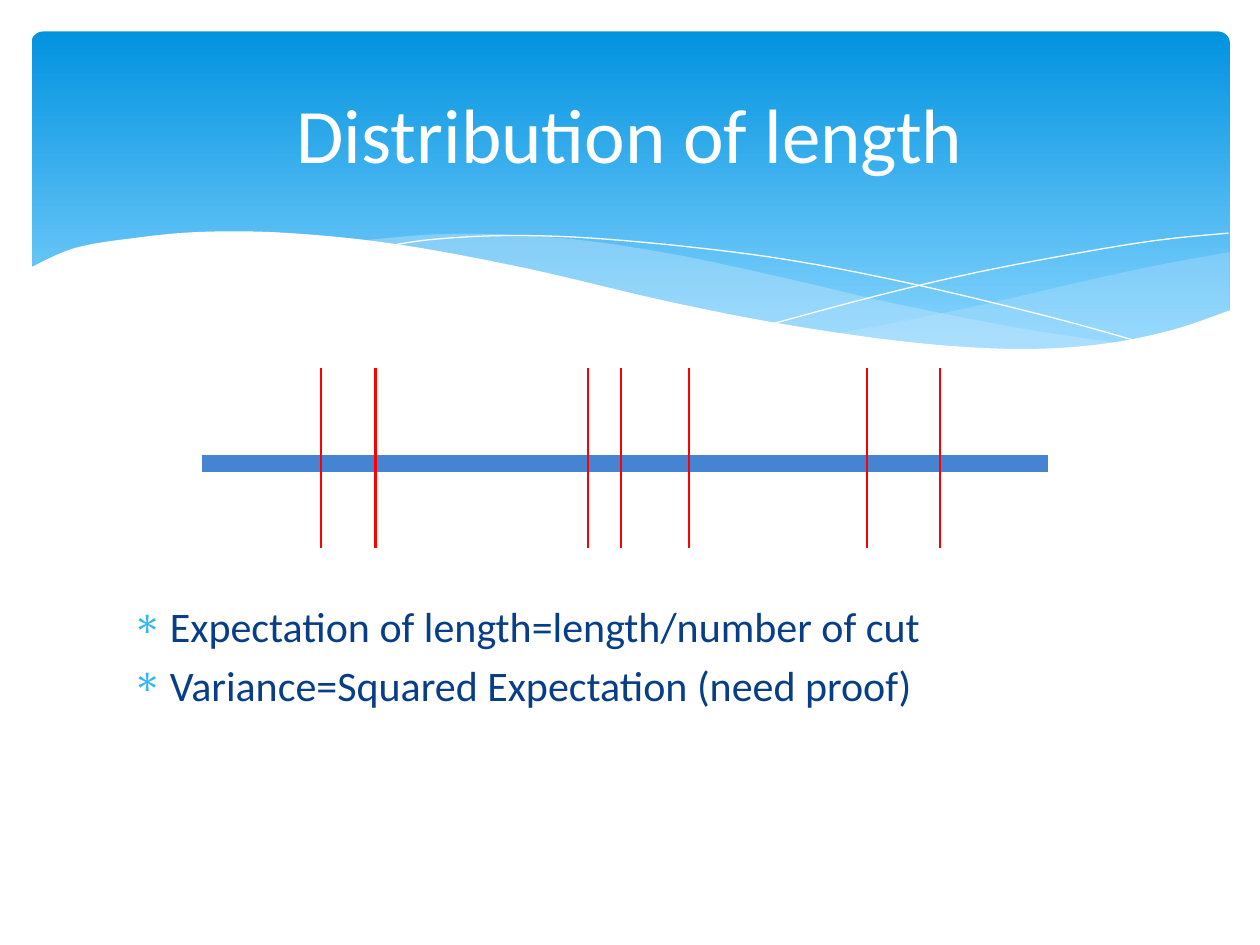
from lxml.etree import SubElement
from pptx import Presentation
from pptx.dml.color import RGBColor
from pptx.enum.shapes import MSO_CONNECTOR, MSO_SHAPE
from pptx.enum.text import MSO_ANCHOR, PP_ALIGN
from pptx.oxml.ns import qn
from pptx.util import Inches, Pt

COLUMNS, ROWS = 10, 7.5  # grid of one-inch cells
FONT = "Calibri"

# Wave knots, in grid cells from the banner's top left corner
RIGHT_WAVE = [
    [(9.51, 1.75), (8.96, 1.85), (8.36, 1.98), (7.54, 2.17), (6.81, 2.32), (6.36, 2.4)],
    [(6.36, 2.4), (7.07, 2.49), (7.78, 2.53), (8.38, 2.5), (8.96, 2.4), (9.51, 2.22)],
]
MIDDLE_WAVE = [
    [(8.68, 2.48), (7.82, 2.35), (6.81, 2.15), (6.04, 1.97), (5.16, 1.78),
     (4.4, 1.66), (3.74, 1.61), (3.19, 1.61), (2.61, 1.66)],
    [(2.61, 1.66), (3.37, 1.78), (4.24, 1.97), (5.41, 2.23), (6.25, 2.39),
     (6.97, 2.49), (7.71, 2.53), (8.32, 2.52), (8.68, 2.48)],
]
FALLING_LINE = [(2.84, 1.7), (3.19, 1.65), (3.76, 1.62), (4.44, 1.64), (5.31, 1.72),
                (6.11, 1.83), (7.02, 2.01), (8.06, 2.26), (8.82, 2.47)]
RISING_LINE = [(5.88, 2.32), (6.7, 2.1), (7.51, 1.91), (8.41, 1.74), (8.99, 1.65), (9.5, 1.6)]
WHITE_WAVE = [
    [(-0.02, 1.88), (0.34, 1.72), (0.81, 1.64), (1.36, 1.59), (2.05, 1.6),
     (2.91, 1.69), (3.93, 1.88), (5.04, 2.14), (6.01, 2.33), (7.01, 2.47),
     (7.84, 2.52), (8.5, 2.48), (9.05, 2.37), (9.52, 2.21)],
    [(9.52, 3.04), (-0.02, 3.04)],
]


def color(value):
    return RGBColor.from_string(value)


def fill_solid(shape, value, opacity=100):
    shape.fill.solid()
    shape.fill.fore_color.rgb = color(value)
    if opacity < 100:
        tone = shape.fill._xPr.find(qn("a:solidFill"))[0]
        SubElement(tone, qn("a:alpha"), val=str(opacity * 1000))


def smooth_curve(knots, steps=6):
    """Catmull-Rom points running through the knots."""
    padded = [knots[0], *knots, knots[-1]]
    points = [knots[0]]
    for a, b, c, d in zip(padded, padded[1:], padded[2:], padded[3:]):
        for step in range(1, steps + 1):
            t = step / steps
            points.append(tuple(
                (2 * q + (r - p) * t + (2 * p - 5 * q + 4 * r - s) * t**2
                 + (3 * q - p - 3 * r + s) * t**3) / 2
                for p, q, r, s in zip(a, b, c, d)))
    return points


def add_outline(page, box, curves, closed):
    left, top = box[:2]
    points = [(Inches(left + x), Inches(top + y))
              for knots in curves for x, y in smooth_curve(knots)]
    builder = page.shapes.build_freeform(*points[0])
    builder.add_line_segments(points[1:], close=closed)
    shape = builder.convert_to_shape()
    shape.shadow.inherit = False
    return shape


def add_wave(page, box, curves, fill, opacity=100):
    wave = add_outline(page, box, curves, closed=True)
    fill_solid(wave, fill, opacity)
    wave.line.fill.background()


def add_hairline(page, box, knots):
    hairline = add_outline(page, box, [knots], closed=False)
    hairline.fill.background()
    hairline.line.color.rgb = color("FFFFFF")
    hairline.line.width = Pt(0)


def add_banner(page, box):
    panel = page.shapes.add_shape(MSO_SHAPE.ROUNDED_RECTANGLE, *map(Inches, box))
    panel.adjustments[0] = 0.034
    panel.shadow.inherit = False
    panel.line.fill.background()
    panel.fill.gradient()
    panel.fill.gradient_angle = 270
    stops = [(0, "0293E0"), (0.9, "83D3FE")]
    for stop, (position, value) in zip(panel.fill.gradient_stops, stops):
        stop.position = position
        stop.color.rgb = color(value)
    add_wave(page, box, RIGHT_WAVE, "C6E7FC", 29)
    add_wave(page, box, MIDDLE_WAVE, "C6E7FC", 40)
    add_hairline(page, box, FALLING_LINE)
    add_hairline(page, box, RISING_LINE)
    add_wave(page, box, WHITE_WAVE, "FFFFFF")


def format_text(para, size, value):
    for span in para.runs:
        span.font.name = FONT
        span.font.size = Pt(size)
        span.font.color.rgb = color(value)


def place_title(page, box, text):
    title = page.shapes.title
    title.left, title.top, title.width, title.height = map(Inches, box)
    page.shapes._spTree.append(title._element)  # in front of the banner
    title.text_frame.text = text
    title.text_frame.vertical_anchor = MSO_ANCHOR.MIDDLE
    para = title.text_frame.paragraphs[0]
    para.alignment = PP_ALIGN.CENTER
    format_text(para, 44, "FFFFFF")


def add_bullets(page, box, items):
    frame = page.shapes.add_textbox(*map(Inches, box)).text_frame
    frame.word_wrap = True
    frame.text = "\n".join(items)
    for index, para in enumerate(frame.paragraphs):
        properties = para._p.get_or_add_pPr()
        properties.set("marL", str(Inches(0.3)))
        properties.set("indent", str(-Inches(0.3)))
        bullet_color = SubElement(properties, qn("a:buClr"))
        SubElement(bullet_color, qn("a:srgbClr"), val="31B6FD")
        SubElement(properties, qn("a:buChar"), char="∗")
        if index:
            para.space_before = Pt(4.8)
        format_text(para, 24, "073E87")


def add_line(page, start, end, value, width):
    line = page.shapes.add_connector(
        MSO_CONNECTOR.STRAIGHT, *map(Inches, (*start, *end)))
    line.line.color.rgb = color(value)
    line.line.width = Pt(width)
    SubElement(line._element.spPr, qn("a:effectLst"))


def add_cut_rod(page, box, cuts):
    """A horizontal rod crossed by cuts, given as columns from its left end."""
    left, top, width, height = box
    rod_row = top + height * 0.53
    add_line(page, (left, rod_row), (left + width, rod_row), "4584D3", 10)
    for cut in cuts:
        add_line(page, (left + cut, top), (left + cut, top + height), "FF0000", 1.25)


def main():
    deck = Presentation()
    deck.slide_width, deck.slide_height = Inches(COLUMNS), Inches(ROWS)
    page = deck.slides.add_slide(deck.slide_layouts[5])
    page.background.fill.solid()
    page.background.fill.fore_color.rgb = color("FFFFFF")
    add_banner(page, (0.25, 0.25, COLUMNS - 0.49, 2.7))
    add_bullets(page, (0.95, 4.72, COLUMNS - 1.9, 1.98), [
        "Expectation of length=length/number of cut",
        "Variance=Squared Expectation (need proof)",
    ])
    place_title(page, (0.5, 0.37, COLUMNS - 1, 1.37), "Distribution of length")
    add_cut_rod(page, (1.6, 2.92, 6.72, 1.43),
                [0.95, 1.38, 3.07, 3.33, 3.87, 5.28, 5.86])
    deck.save("out.pptx")


if __name__ == "__main__":
    main()
